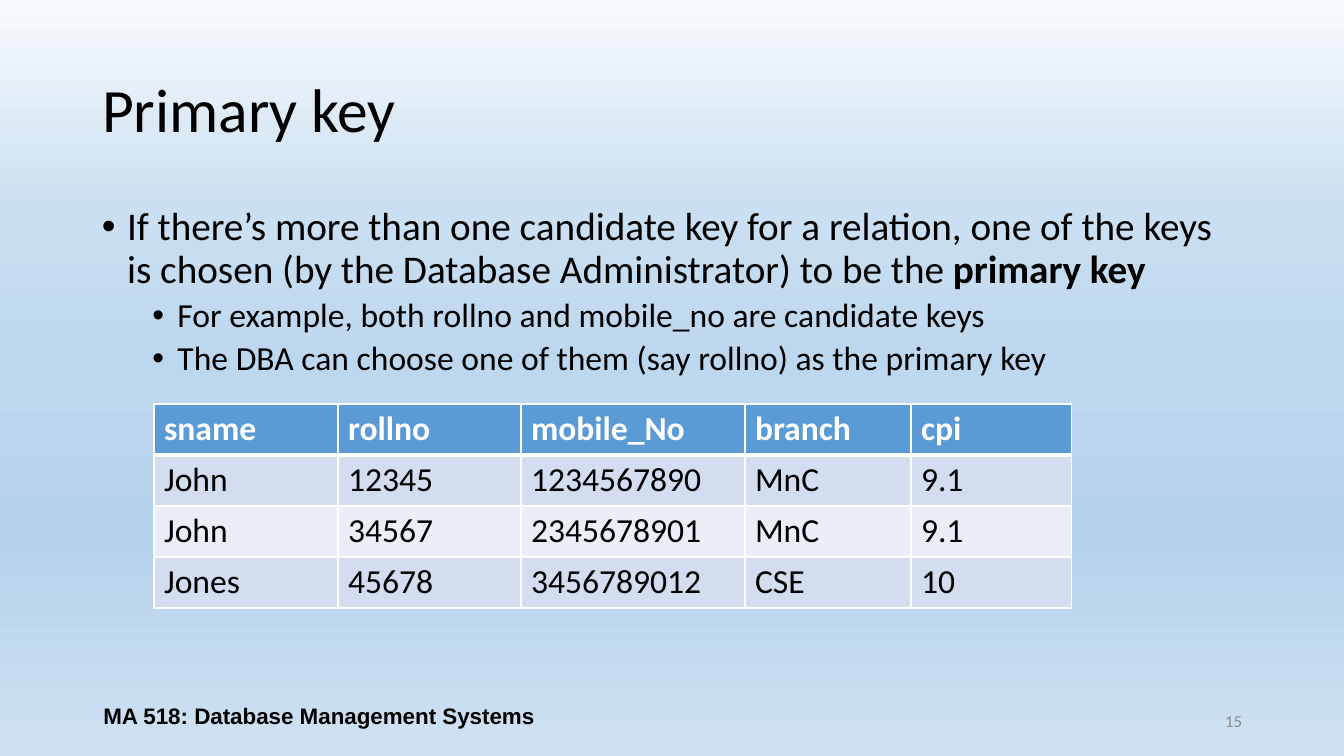
from pptx import Presentation
from pptx.dml.color import RGBColor as Rgb
from pptx.enum.text import MSO_ANCHOR as Anchor, PP_ALIGN as Align
from pptx.oxml import parse_xml
from pptx.oxml.ns import nsdecls, qn
from pptx.util import Emu, Pt

HUES = {"ink": "000000", "gray": "8C8C8C", "white": "FFFFFF",
        "head": "5B9BD5", "odd": "D2DEEF", "even": "EAEFF7"}
SKY = [(0, "F7FAFD"), (28, "CADFF1"), (49, "BDD7EE"), (71, "B5D2EC"), (100, "CEE1F2")]


def px(*nums):
    return [Emu(round(n * 914400 / 100.8)) for n in nums]


def write(para, text, size, hue="ink", bold=False, face="Calibri"):
    run = para.add_run()
    run.text = text
    run.font.name, run.font.size, run.font.bold = face, Pt(size), bold
    run.font.color.rgb = Rgb.from_string(HUES[hue])


deck = Presentation()
deck.slide_width, deck.slide_height = px(1344, 756)
slide = deck.slides.add_slide(deck.slide_layouts[5])

fill = slide.background.fill
fill.gradient()
grad = slide.element.find(".//" + qn("a:gradFill"))
stops = "".join(f'<a:gs pos="{pos * 1000}"><a:srgbClr val="{hue}"/></a:gs>' for pos, hue in SKY)
grad.getparent().replace(grad, parse_xml(
    f'<a:gradFill {nsdecls("a")} rotWithShape="1"><a:gsLst>{stops}</a:gsLst>'
    '<a:lin ang="5400000" scaled="0"/></a:gradFill>'))

title = slide.shapes.title
title.left, title.top, title.width, title.height = px(92, 40, 1160, 146)
frame = title.text_frame
frame.word_wrap = True
frame.vertical_anchor = Anchor.MIDDLE
para = frame.paragraphs[0]
para.alignment, para.line_spacing = Align.LEFT, 0.9
write(para, "Primary key", 44)

body = slide.shapes.add_textbox(*px(92, 202, 1160, 480)).text_frame
body.word_wrap = True
points = [
    (0, 28, [("If there’s more than one candidate key for a relation, one of the keys "
              "is chosen (by the Database Administrator) to be the ", False),
             ("primary key", True)]),
    (1, 24, [("For example, both rollno and mobile_no are candidate keys", False)]),
    (1, 24, [("The DBA can choose one of them (say rollno) as the primary key", False)]),
]
for i, (level, size, runs) in enumerate(points):
    para = body.add_paragraph() if i else body.paragraphs[0]
    para.level, para.line_spacing = level, 0.9
    para.space_before = Pt(5 if level else 10)
    props = para._p.get_or_add_pPr()
    props.set("marL", str(228600 + 457200 * level))
    props.set("indent", "-228600")
    props.append(parse_xml(f'<a:buFont {nsdecls("a")} typeface="Arial"/>'))
    props.append(parse_xml(f'<a:buChar {nsdecls("a")} char="•"/>'))
    for text, bold in runs:
        write(para, text, size, bold=bold)

notes = [
    ((950, 701, 302, 40), Align.RIGHT, ("15", 12, "gray")),
    ((92, 696, 454, 40), Align.CENTER,
     ("MA 518: Database Management Systems", 16, "ink", True, "Arial")),
]
for area, align, text in notes:
    frame = slide.shapes.add_textbox(*px(*area)).text_frame
    frame.word_wrap = True
    frame.vertical_anchor = Anchor.MIDDLE
    frame.paragraphs[0].alignment = align
    write(frame.paragraphs[0], *text)

rows = [
    ("sname", "rollno", "mobile_No", "branch", "cpi"),
    ("John", "12345", "1234567890", "MnC", "9.1"),
    ("John", "34567", "2345678901", "MnC", "9.1"),
    ("Jones", "45678", "3456789012", "CSE", "10"),
]
wide = [184, 183, 224, 166, 161]
table = slide.shapes.add_table(
    len(rows), len(wide), *px(154, 404, sum(wide), 51 * len(rows))).table
for col, width in zip(table.columns, px(*wide)):
    col.width = width
for r, row in enumerate(rows):
    table.rows[r].height = px(51)[0]
    for c, text in enumerate(row):
        cell = table.cell(r, c)
        cell.fill.solid()
        tint = "head" if r == 0 else "odd" if r % 2 else "even"
        cell.fill.fore_color.rgb = Rgb.from_string(HUES[tint])
        write(cell.text_frame.paragraphs[0], text, 24, "ink" if r else "white", r == 0)
        for i, side in enumerate("LRTB"):
            thick = 3 if (r, side) in [(0, "B"), (1, "T")] else 1
            cell._tc.get_or_add_tcPr().insert(i, parse_xml(
                f'<a:ln{side} {nsdecls("a")} w="{Pt(thick)}"><a:solidFill>'
                f'<a:srgbClr val="{HUES["white"]}"/></a:solidFill></a:ln{side}>'))

deck.save("out.pptx")
